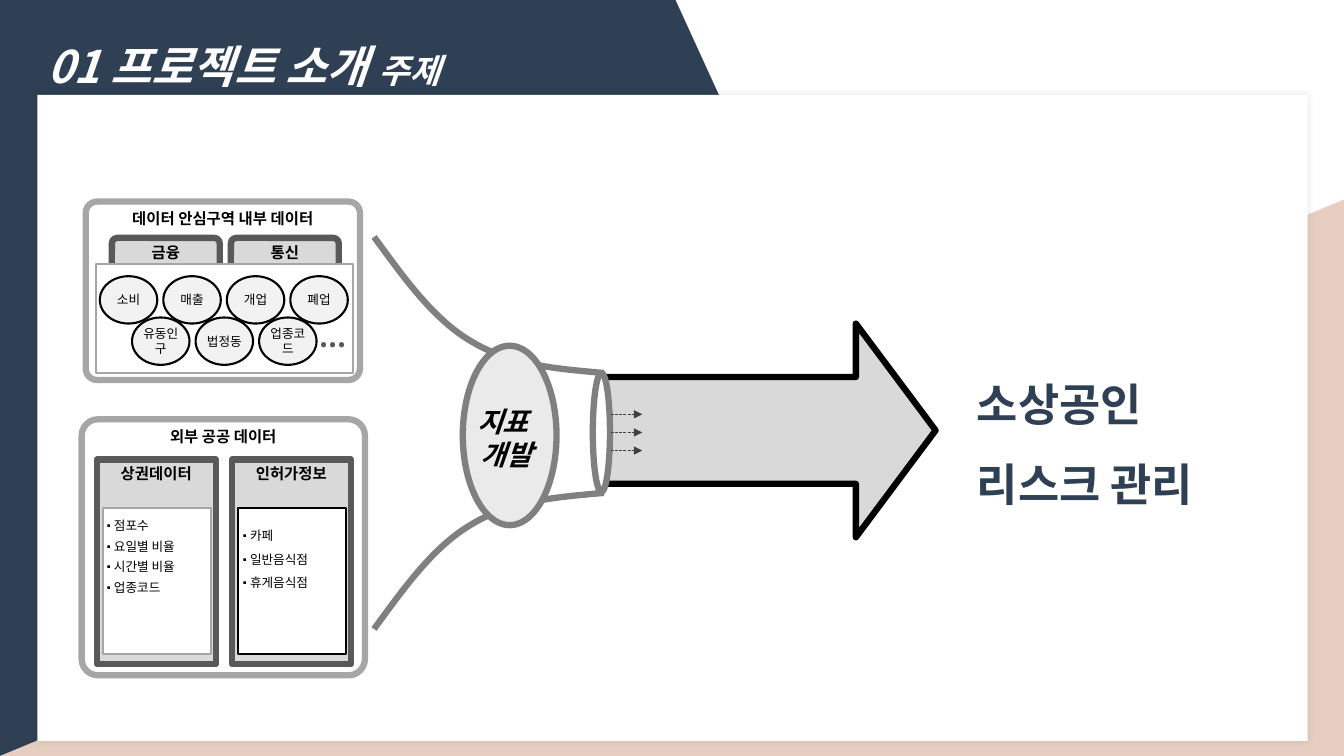
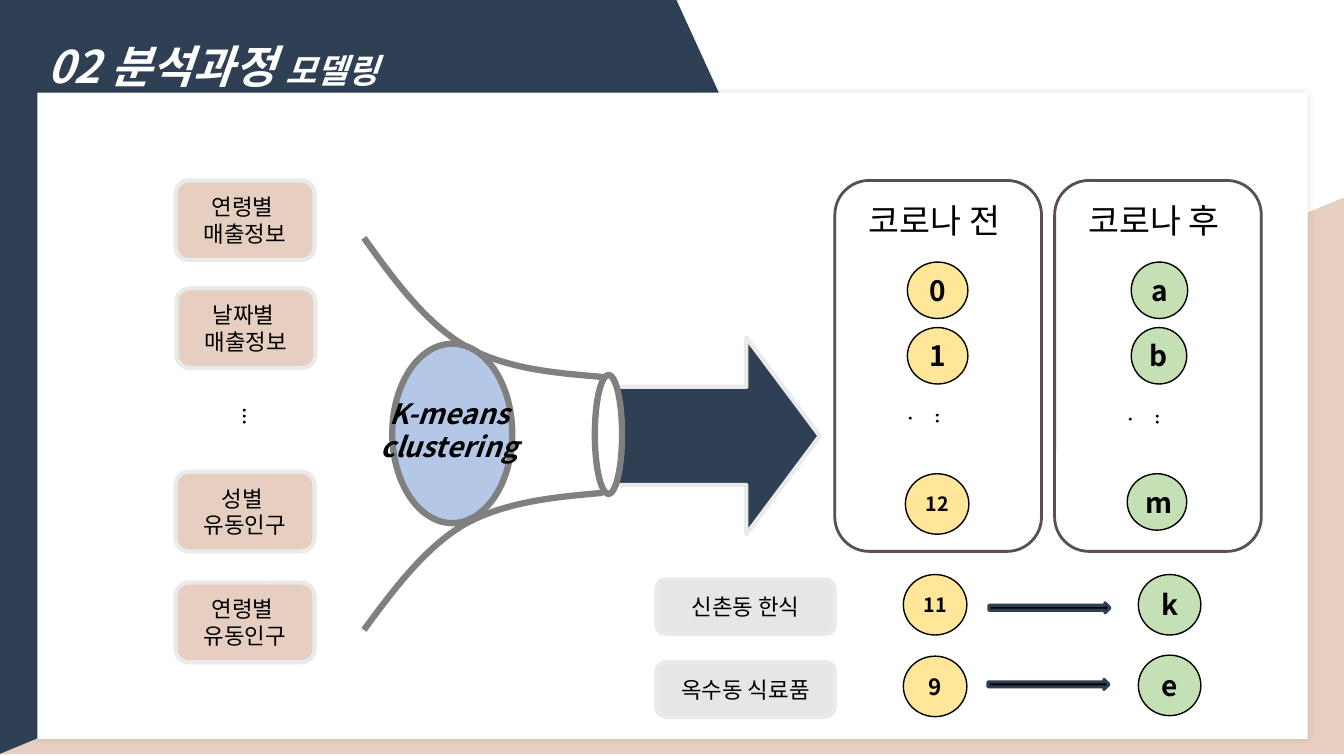
from dataclasses import dataclass, field, replace
from typing import Any, Optional

from lxml import etree
from pptx import Presentation
from pptx.dml.color import RGBColor
from pptx.enum.dml import MSO_LINE
from pptx.enum.shapes import MSO_CONNECTOR, MSO_SHAPE
from pptx.enum.text import MSO_ANCHOR, MSO_AUTO_SIZE, PP_ALIGN
from pptx.oxml.ns import qn
from pptx.util import Pt

PX = 9144
RECT, ROUND, OVAL = MSO_SHAPE.RECTANGLE, MSO_SHAPE.ROUNDED_RECTANGLE, MSO_SHAPE.OVAL
ARROW, TRIANGLE = MSO_SHAPE.RIGHT_ARROW, MSO_SHAPE.RIGHT_TRIANGLE
STRAIGHT, SYS_DASH = MSO_CONNECTOR.STRAIGHT, MSO_LINE.SQUARE_DOT
TOP, MIDDLE = MSO_ANCHOR.TOP, MSO_ANCHOR.MIDDLE
LEFT, CENTER = PP_ALIGN.LEFT, PP_ALIGN.CENTER
GROW = MSO_AUTO_SIZE.SHAPE_TO_FIT_TEXT

NAVY = RGBColor(0x2F, 0x40, 0x54)
SAND = RGBColor(0xE6, 0xCF, 0xC1)
WHITE = RGBColor(0xFF, 0xFF, 0xFF)
BLACK = RGBColor(0, 0, 0)
GRAY = RGBColor(0x80, 0x80, 0x80)
DARK_GRAY = RGBColor(0x59, 0x59, 0x59)
DASH_GRAY = RGBColor(0x40, 0x40, 0x40)
MID_GRAY = RGBColor(0xA6, 0xA6, 0xA6)
LIGHT_GRAY = RGBColor(0xD9, 0xD9, 0xD9)
PALE_GRAY = RGBColor(0xEA, 0xEA, 0xEA)
BUBBLE_GRAY = RGBColor(0xF2, 0xF2, 0xF2)
LABEL_GRAY = RGBColor(0xE7, 0xE6, 0xE6)
BLUE = RGBColor(0xB4, 0xC7, 0xE7)
YELLOW = RGBColor(0xFF, 0xE6, 0x99)
GREEN = RGBColor(0xC5, 0xE0, 0xB4)
PLUM = RGBColor(0x5B, 0x4E, 0x55)

Point = tuple[int, int]


@dataclass(frozen=True)
class Box:
    x: int
    y: int
    w: int
    h: int

    def emu(self) -> tuple[int, ...]:
        return tuple(v * PX for v in (self.x, self.y, self.w, self.h))


@dataclass(frozen=True)
class Look:
    fill: RGBColor
    line: Optional[RGBColor] = None
    weight: float = 0


@dataclass(frozen=True)
class Face:
    size: int
    color: RGBColor = BLACK
    bold: bool = False
    italic: bool = False
    name: str = "Noto Sans CJK KR"


@dataclass(frozen=True)
class Para:
    runs: tuple[tuple[str, Face], ...]
    fmt: dict[str, Any] = field(default_factory=dict)
    bullet_left: int = -1


@dataclass(frozen=True)
class Cluster:
    text: str
    box: Box
    look: Look
    size: int = 20


TITLE = Face(32, WHITE, True, True)
SUBTITLE = replace(TITLE, size=24)
RESULT = Face(32, NAVY, True)
FUNNEL = Face(20, BLACK, True, True)
HEADING = Face(11, BLACK, True)
SMALL = Face(9)
BODY = Face(16)

PIPE = Look(WHITE, GRAY, 4.5)
GROUP = Look(WHITE, MID_GRAY, 4.5)
TAB = Look(LIGHT_GRAY, DARK_GRAY, 4.5)
LIST_GRAY = Look(WHITE, MID_GRAY, 1.5)
LIST_BLACK = Look(WHITE, BLACK, 1.5)
BUBBLE = Look(BUBBLE_GRAY, BLACK, 1.5)
SOURCE = Look(SAND, PALE_GRAY, 3)
LABEL = Look(LABEL_GRAY, PALE_GRAY, 3)
BEFORE = Look(YELLOW, BLACK, 1)
AFTER = Look(GREEN, BLACK, 1)


def lines(face: Face, *texts: str, bullet_left: int = -1, **fmt: Any) -> list[Para]:
    return [Para(((text, face),), fmt, bullet_left) for text in texts]


def set_all(target: Any, values: dict[str, Any]) -> None:
    for key, value in values.items():
        setattr(target, key, value)


def add_bullet(p: Any, left: int) -> None:
    pPr = p._p.get_or_add_pPr()
    pPr.set("marL", str(left * PX))
    pPr.set("indent", str(-7 * PX))
    clr = etree.SubElement(pPr, qn("a:buClr"))
    etree.SubElement(clr, qn("a:srgbClr")).set("val", str(BLACK))
    etree.SubElement(pPr, qn("a:buSzPct")).set("val", "85000")
    etree.SubElement(pPr, qn("a:buFont")).set("typeface", "Arial")
    etree.SubElement(pPr, qn("a:buChar")).set("char", "▪")


def write(sp: Any, paras: list[Para], anchor: Any = MIDDLE, ins: Point = (10, 5),
          wrap: bool = True, grow: bool = False) -> None:
    tf = sp.text_frame
    set_all(tf, {"word_wrap": wrap, "vertical_anchor": anchor,
                 "margin_left": ins[0] * PX, "margin_right": ins[0] * PX,
                 "margin_top": ins[1] * PX, "margin_bottom": ins[1] * PX})
    if grow:
        tf.auto_size = GROW
    for i, para in enumerate(paras):
        p = tf.add_paragraph() if i else tf.paragraphs[0]
        set_all(p, {"alignment": CENTER} | para.fmt)
        if para.bullet_left >= 0:
            add_bullet(p, para.bullet_left)
        for text, face in para.runs:
            r = p.add_run()
            r.text = text
            set_all(r.font, {"size": Pt(face.size), "bold": face.bold,
                             "italic": face.italic, "name": face.name})
            r.font.color.rgb = face.color
            etree.SubElement(r._r.get_or_add_rPr(), qn("a:ea")).set("typeface", face.name)


def paint(sp: Any, look: Look) -> None:
    sp.shadow.inherit = False
    sp.fill.solid()
    sp.fill.fore_color.rgb = look.fill
    if look.line is None:
        sp.line.fill.background()
    else:
        sp.line.color.rgb = look.line
        sp.line.width = Pt(look.weight)


def shape(s: Any, kind: Any, box: Box, look: Look, paras: Optional[list[Para]] = None,
          adj: tuple[float, ...] = (), **frame: Any) -> Any:
    sp = s.shapes.add_shape(kind, *box.emu())
    paint(sp, look)
    for i, value in enumerate(adj):
        sp.adjustments[i] = value
    if paras:
        write(sp, paras, **frame)
    return sp


def text(s: Any, box: Box, paras: list[Para], rotation: int = 0, **frame: Any) -> None:
    sp = s.shapes.add_textbox(*box.emu())
    sp.rotation = rotation
    write(sp, paras, **({"anchor": TOP, "grow": True} | frame))


def outline(s: Any, points: list[tuple[float, float]], close: bool) -> Any:
    emu = [(round(x * PX), round(y * PX)) for x, y in points]
    fb = s.shapes.build_freeform(*emu[0])
    fb.add_line_segments(emu[1:], close=close)
    return fb.convert_to_shape()


def curve(s: Any, knots: list[Point], steps: int = 24) -> None:
    points: list[tuple[float, float]] = [knots[0]]
    for k in range(0, len(knots) - 1, 3):
        for n in range(1, steps + 1):
            t = n / steps
            u = 1 - t
            weights = (u ** 3, 3 * u * u * t, 3 * u * t * t, t ** 3)
            points.append(tuple(sum(w * q[a] for w, q in zip(weights, knots[k:k + 4]))
                                for a in (0, 1)))
    sp = outline(s, points, False)
    paint(sp, PIPE)
    sp.fill.background()


def dashed_arrow(s: Any, x1: int, x2: int, y: int) -> None:
    c = s.shapes.add_connector(STRAIGHT, x1 * PX, y * PX, x2 * PX, y * PX)
    set_all(c.line, {"width": Pt(0.75), "dash_style": SYS_DASH})
    c.line.color.rgb = DASH_GRAY
    etree.SubElement(c.line._get_or_add_ln(), qn("a:tailEnd")).set("type", "triangle")
    etree.SubElement(c._element.spPr, qn("a:effectLst"))


def frame_slide(prs: Any, title: str, subtitle: str, dy: int = 0) -> Any:
    s = prs.slides.add_slide(prs.slide_layouts[6])
    band = [(0, 750), (0, 0), (670, 0), (867, 431), (670, 750)]
    paint(outline(s, [(x, y + dy) for x, y in band], True), Look(NAVY))
    corner = shape(s, TRIANGLE, Box(0, 198 + dy, 1333, 552), Look(SAND))
    corner._element.spPr.find(qn("a:xfrm")).set("flipH", "1")
    page = shape(s, RECT, Box(37, 94 + dy, 1260, 641), Look(WHITE))
    effects = page._element.spPr.find(qn("a:effectLst"))
    shadow = etree.SubElement(effects, qn("a:outerShdw"), blurRad=str(Pt(5)), dist="0", dir="0")
    clr = etree.SubElement(shadow, qn("a:srgbClr"), val=str(BLACK))
    etree.SubElement(clr, qn("a:alpha"), val="10000")
    runs = ((title, TITLE), (subtitle, SUBTITLE))
    text(s, Box(37, 7, 977, 83), [Para(runs, {"alignment": LEFT, "line_spacing": 1.5})])
    return s


def group_box(s: Any, box: Box, title: str) -> None:
    shape(s, ROUND, box, GROUP, adj=(0.064,))
    text(s, Box(box.x + 17, box.y - 3, box.w - 34, 32), lines(HEADING, title, line_spacing=1.3))


def topic_slide(prs: Any) -> None:
    s = frame_slide(prs, "01 프로젝트 소개 ", "주제")
    text(s, Box(959, 342, 459, 163),
         lines(RESULT, "소상공인", "리스크 관리", alignment=LEFT, line_spacing=1.5))
    shape(s, ARROW, Box(598, 321, 330, 212), Look(LIGHT_GRAY, BLACK, 4.5), adj=(0.5, 0.373))
    lower = [(371, 624), (401, 583), (430, 542), (468, 520), (506, 497), (552, 493), (599, 489)]
    curve(s, lower)
    curve(s, [(x, 859 - y) for x, y in lower])
    shape(s, OVAL, Box(588, 370, 17, 118), PIPE)
    shape(s, OVAL, Box(459, 343, 93, 178), replace(PIPE, fill=PALE_GRAY))
    text(s, Box(453, 396, 98, 77),
         lines(FUNNEL, "지표 ") + lines(replace(FUNNEL, name="Arial"), "개발"))
    for i in range(3):
        dashed_arrow(s, 606, 637, 411 + 18 * i)

    group_box(s, Box(81, 416, 281, 254), "외부 공공 데이터")
    for x, title, look in ((96, "상권데이터", LIST_GRAY), (230, "인허가정보", LIST_BLACK)):
        shape(s, RECT, Box(x, 456, 118, 203), TAB, lines(HEADING, title, space_after=Pt(6)),
              anchor=TOP, ins=(4, 4))
        shape(s, ROUND, Box(x + 6, 504, 107, 145), look, adj=(0,))
    bullets = {"alignment": LEFT, "space_before": Pt(6)}
    text(s, Box(98, 513, 125, 118),
         lines(SMALL, "점포수", "요일별 비율", "시간별 비율", "업종코드",
               bullet_left=7, line_spacing=0.8, **bullets), ins=(8, 4), grow=False)
    text(s, Box(232, 520, 124, 118),
         lines(SMALL, "카페", "일반음식점", "휴게음식점", bullet_left=8, **bullets),
         ins=(8, 4), grow=False)

    group_box(s, Box(85, 200, 272, 177), "데이터 안심구역 내부 데이터")
    for x, title in ((111, "금융"), (229, "통신")):
        shape(s, ROUND, Box(x, 236, 107, 32), TAB, lines(HEADING, title, space_after=Pt(6)),
              anchor=TOP, ins=(4, 4))
    shape(s, ROUND, Box(95, 262, 255, 108), LIST_GRAY, adj=(0,))
    rows = ((99, 274, ("소비", "매출", "개업", "폐업")),
            (131, 315, ("유동인구", "법정동", "업종코드")))
    for x, y, names in rows:
        for i, name in enumerate(names):
            shape(s, OVAL, Box(x + 63 * i, y, 57, 47), BUBBLE, lines(SMALL, name), ins=(0, 0))
    text(s, Box(303, 302, 54, 53), lines(Face(20, DARK_GRAY, True), "...", line_spacing=1.3))


def modeling_slide(prs: Any) -> None:
    s = frame_slide(prs, "02 분석과정 ", "모델링", -2)
    text(s, Box(231, 395, 39, 37), lines(BODY, "..."), rotation=90, wrap=False)
    curve(s, [(361, 625), (391, 584), (422, 543), (461, 520), (501, 498), (550, 493), (598, 489)])
    curve(s, [(361, 236), (391, 278), (422, 320), (461, 343), (501, 366), (550, 370), (598, 374)])
    shape(s, OVAL, Box(389, 341, 119, 178), replace(PIPE, fill=BLUE))
    text(s, Box(322, 388, 247, 77), lines(FUNNEL, "K-means", "clustering"))
    shape(s, ARROW, Box(609, 335, 204, 195), Look(NAVY, PALE_GRAY, 3), adj=(0.5, 0.373))
    sources = ((174, 179, "연령별 ", "매출정보"), (175, 286, "날짜별 ", "매출정보"),
               (174, 468, "성별 ", "유동인구"), (174, 578, "연령별 ", "유동인구"))
    for x, y, *words in sources:
        shape(s, ROUND, Box(x, y, 138, 79), SOURCE, lines(BODY, *words))
    shape(s, OVAL, Box(590, 372, 27, 118), PIPE)

    for x, title in ((828, "코로나 전 "), (1046, "코로나 후 ")):
        shape(s, ROUND, Box(x, 179, 205, 368), Look(WHITE, PLUM, 2), lines(Face(24), title),
              anchor=TOP, ins=(10, 9))
    for box in (Box(920, 397, 34, 37), Box(1138, 398, 35, 37)):
        text(s, box, lines(BODY, "..."), rotation=90)
    for y, name in ((575, "신촌동 한식"), (657, "옥수동 식료품")):
        shape(s, ROUND, Box(651, y, 177, 54), LABEL, lines(BODY, name))
    clusters = (
        Cluster("0", Box(900, 260, 60, 56), BEFORE),
        Cluster("1", Box(900, 325, 60, 56), BEFORE),
        Cluster("12", Box(898, 470, 63, 60), BEFORE, 14),
        Cluster("a", Box(1122, 260, 56, 56), AFTER),
        Cluster("b", Box(1122, 325, 55, 56), AFTER),
        Cluster("m", Box(1118, 470, 59, 56), AFTER),
        Cluster("11", Box(896, 570, 63, 60), BEFORE, 14),
        Cluster("9", Box(896, 651, 63, 60), BEFORE, 16),
        Cluster("k", Box(1129, 570, 62, 60), AFTER),
        Cluster("e", Box(1129, 650, 62, 60), AFTER),
    )
    for c in clusters:
        shape(s, OVAL, c.box, c.look, lines(Face(c.size, BLACK, True), c.text))
    for x, y in ((981, 598), (980, 674)):
        shape(s, ARROW, Box(x, y, 120, 10), Look(BLACK, NAVY, 2.25))


def main() -> None:
    prs = Presentation()
    prs.slide_width, prs.slide_height = 1333 * PX, 750 * PX
    topic_slide(prs)
    modeling_slide(prs)
    prs.save("out.pptx")


if __name__ == "__main__":
    main()
